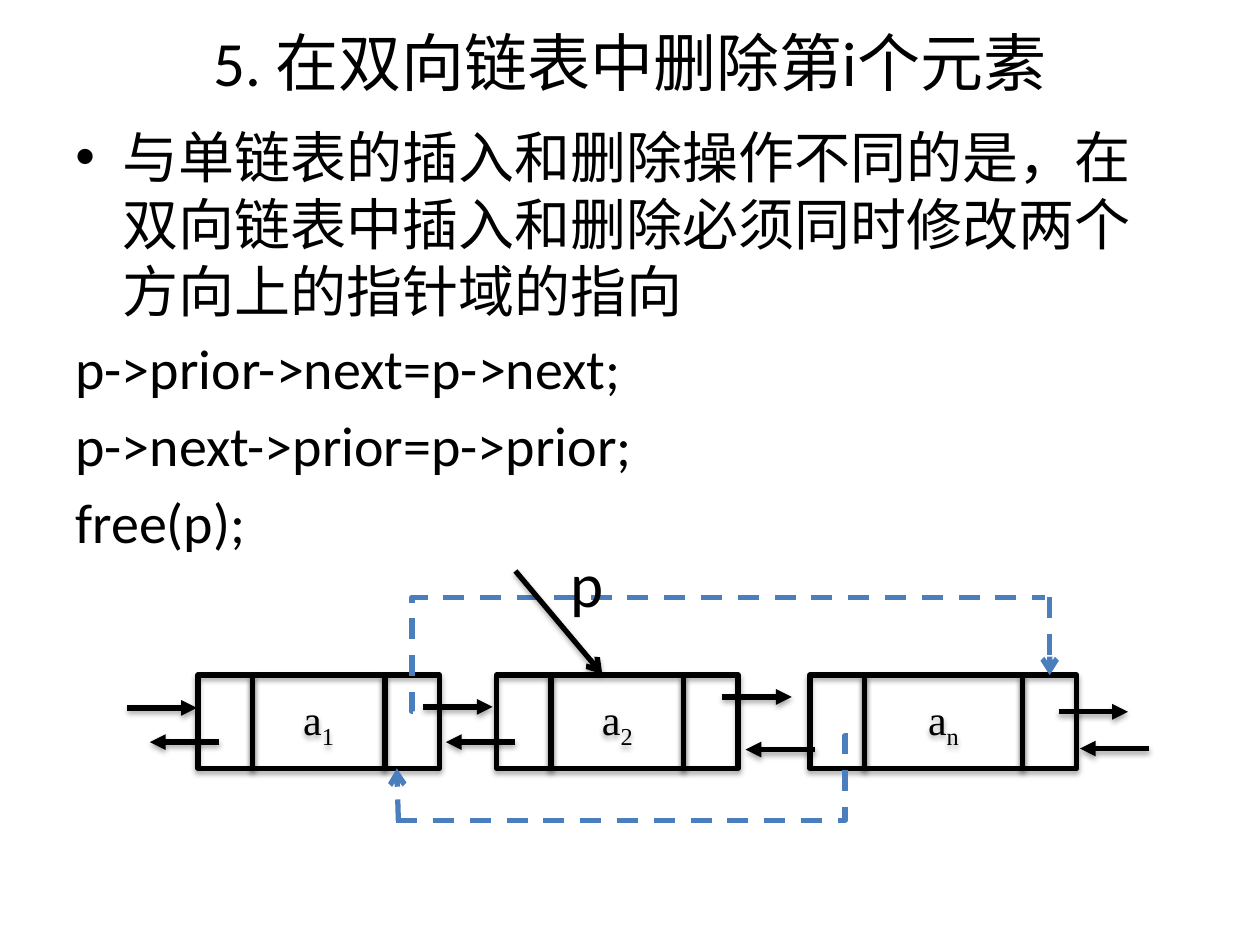
from lxml import etree
from pptx import Presentation
from pptx import util as u
from pptx.dml.color import RGBColor
from pptx.enum import dml, shapes, text
from pptx.oxml.ns import qn

COLORS = {"ink": "000000", "link": "4B7EBC"}
BODY_FONT, NODE_FONT = "Calibri", "Times New Roman"
TITLE = "5. 在双向链表中删除第i个元素"
POINT = "与单链表的插入和删除操作不同的是，在双向链表中插入和删除必须同时修改两个方向上的指针域的指向"
CODE = ["p->prior->next=p->next;", "p->next->prior=p->prior;", "free(p);"]

NODES = [("1", 3.99, 2.67), ("2", 10.01, 2.67), ("n", 16.33, 3.18)]
NODE_TOP, NODE_HEIGHT, FIELD_WIDTH = 13.61, 1.88, 1.1
ARROW_LENGTH = 1.4
NEXT_ARROWS = [(2.57, 14.27), (8.53, 14.25), (14.56, 14.05), (21.34, 14.35)]
PRIOR_ARROWS = [(4.42, 14.96), (10.39, 14.96), (16.43, 15.11), (23.17, 15.09)]
BYPASSES = [((8.33, 14.35), (21.06, 12.04), -200), ((17.09, 14.83), (7.95, 16.54), 600)]


def color(name):
    return RGBColor.from_string(COLORS[name])


def write(frame, paragraphs, size=32, font=BODY_FONT, align=text.PP_ALIGN.LEFT,
          anchor=text.MSO_ANCHOR.TOP, wrap=True, gap=0, bulleted=()):
    frame.word_wrap = wrap
    frame.vertical_anchor = anchor
    for index, runs in enumerate(paragraphs):
        para = frame.paragraphs[0] if index == 0 else frame.add_paragraph()
        if index in bulleted:
            props = para._p.get_or_add_pPr()
            props.set("marL", str(u.Cm(0.95)))
            props.set("indent", str(-u.Cm(0.95)))
            etree.SubElement(props, qn("a:buFont")).set("typeface", "Arial")
            etree.SubElement(props, qn("a:buChar")).set("char", "•")
        para.alignment = align
        if index:
            para.space_before = u.Pt(gap)
        for content, baseline in runs:
            span = para.add_run()
            span.text = content
            span.font.size = u.Pt(size)
            span.font.name = font
            span.font.color.rgb = color("ink")
            if baseline:
                span._r.get_or_add_rPr().set("baseline", str(baseline * 1000))


def add_text(page, area, paragraphs, **style):
    box = page.shapes.add_textbox(*map(u.Cm, area))
    write(box.text_frame, paragraphs, **style)


def set_effects(item, shadowed):
    props = item._element.spPr
    for old in props.findall(qn("a:effectLst")):
        props.remove(old)
    effects = etree.SubElement(props, qn("a:effectLst"))
    if shadowed:
        shadow = etree.SubElement(effects, qn("a:outerShdw"), blurRad="40000",
                                  dist="23000", dir="5400000", rotWithShape="0")
        tint = etree.SubElement(shadow, qn("a:srgbClr"), val=COLORS["ink"])
        etree.SubElement(tint, qn("a:alpha"), val="35000")


def add_line(page, start, end, name="ink", head="triangle", bend=None):
    kind = shapes.MSO_CONNECTOR.STRAIGHT if bend is None else shapes.MSO_CONNECTOR.ELBOW
    line = page.shapes.add_connector(kind, *map(u.Cm, (*start, *end)))
    line.line.color.rgb = color(name)
    line.line.width = u.Pt(3)
    if name == "link":
        line.line.dash_style = dml.MSO_LINE.DASH
    if bend is not None:
        geometry = line._element.spPr.find(qn("a:prstGeom"))
        guides = geometry.find(qn("a:avLst"))
        if guides is None:
            guides = etree.SubElement(geometry, qn("a:avLst"))
        etree.SubElement(guides, qn("a:gd"), name="adj1", fmla=f"val {bend}")
    if head:
        etree.SubElement(line.line._get_or_add_ln(), qn("a:tailEnd"), type=head)
    set_effects(line, name == "ink")
    return line


def add_cell(page, left, width):
    cell = page.shapes.add_shape(shapes.MSO_SHAPE.RECTANGLE, u.Cm(left), u.Cm(NODE_TOP),
                                 u.Cm(width), u.Cm(NODE_HEIGHT))
    cell.fill.background()
    cell.line.color.rgb = color("ink")
    cell.line.width = u.Pt(3)
    set_effects(cell, True)
    return cell


def add_node(page, subscript, left, width):
    data_left = left + FIELD_WIDTH
    add_cell(page, left, FIELD_WIDTH)
    data = add_cell(page, data_left, width)
    write(data.text_frame, [[("a", 0), (subscript, -25)]], size=24, font=NODE_FONT,
          align=text.PP_ALIGN.CENTER, anchor=text.MSO_ANCHOR.MIDDLE, wrap=False)
    return add_cell(page, data_left + width, FIELD_WIDTH)


def main():
    deck = Presentation()
    deck.slide_width, deck.slide_height = u.Cm(25.4), u.Cm(19.05)
    page = deck.slides.add_slide(deck.slide_layouts[6])

    add_text(page, (1.27, 0.15, 22.86, 2.18), [[(TITLE, 0)]], size=36,
             align=text.PP_ALIGN.CENTER, anchor=text.MSO_ANCHOR.MIDDLE)
    add_text(page, (1.27, 2.34, 22.86, 16.71), [[(row, 0)] for row in [POINT, *CODE]],
             gap=5.5, bulleted=(0,))

    next_fields = [add_node(page, *node) for node in NODES]
    for arrows, step in ((NEXT_ARROWS, ARROW_LENGTH), (PRIOR_ARROWS, -ARROW_LENGTH)):
        for x, y in arrows:
            add_line(page, (x, y), (x + step, y))

    for start, end, bend in BYPASSES:
        add_line(page, start, end, name="link", head=None, bend=bend)
    down = add_line(page, (21.16, 12.04), (21.17, NODE_TOP), name="link", head="arrow")
    down.end_connect(next_fields[-1], 0)
    add_line(page, (8.03, 16.54), (8.0, NODE_TOP + NODE_HEIGHT), name="link", head="arrow")

    add_line(page, (10.39, 11.51), (12.14, 13.59), head="arrow")
    add_text(page, (11.25, 10.85, 1.19, 1.8), [[("p", 0)]], size=36, wrap=False)
    deck.save("out.pptx")


if __name__ == "__main__":
    main()
